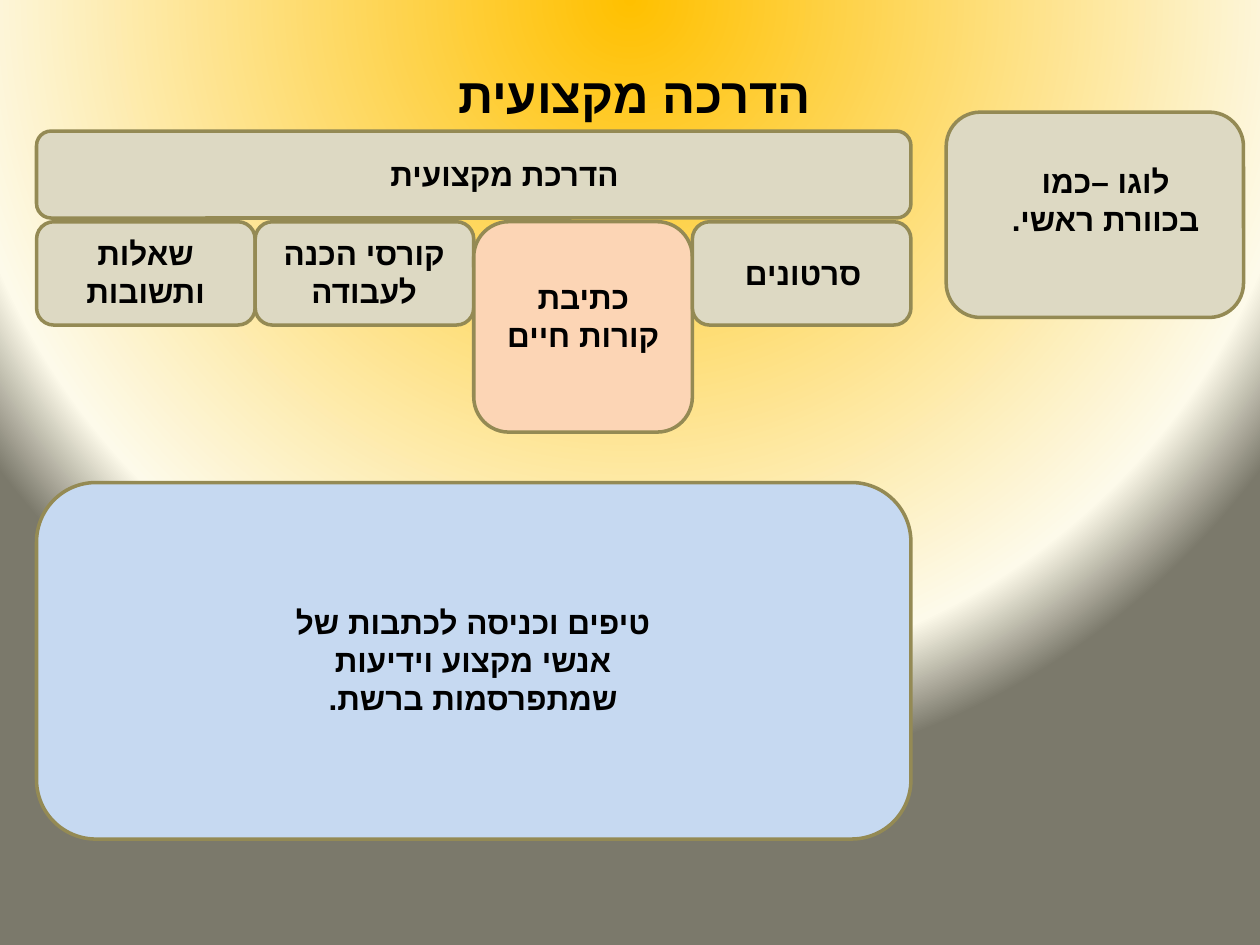
from lxml import etree
from pptx import Presentation
from pptx.dml.color import RGBColor
from pptx.enum.shapes import MSO_SHAPE
from pptx.enum.text import MSO_AUTO_SIZE, PP_ALIGN
from pptx.oxml.ns import qn
from pptx.util import Inches, Pt

ROUNDED = MSO_SHAPE.ROUNDED_RECTANGLE
GROW = MSO_AUTO_SIZE.SHAPE_TO_FIT_TEXT
CENTER = PP_ALIGN.CENTER
HEBREW_FONT = "Arial"

BLACK = RGBColor(0x00, 0x00, 0x00)
SAND = RGBColor(0xDD, 0xD9, 0xC3)
PEACH = RGBColor(0xFC, 0xD5, 0xB5)
SKY = RGBColor(0xC6, 0xD9, 0xF1)
OLIVE = RGBColor(0x94, 0x8A, 0x54)
GLOW = [
    (0, RGBColor(0xFF, 0xC0, 0x00)),
    (87, RGBColor(0xFD, 0xFA, 0xEA)),
    (100, RGBColor(0x7B, 0x79, 0x6B)),
]

MENU_LEFT, MENU_WIDTH = 0.29, 6.94
MENU_TOP, MENU_HEIGHT, OPEN_HEIGHT = 1.76, 0.82, 1.67
MENU = [
    ("שאלות ותשובות", SAND, MENU_HEIGHT, (0.11, 0.05, 1.51, 0.71)),
    ("קורסי הכנה לעבודה", SAND, MENU_HEIGHT, (0.11, 0.05, 1.51, 0.71)),
    ("כתיבת קורות חיים", PEACH, OPEN_HEIGHT, (0.09, 0.4, 1.56, 0.71)),
    ("סרטונים", SAND, MENU_HEIGHT, (0.1, 0.21, 1.56, 0.4)),
]


def paint_background(page):
    fill = page.background.fill
    fill.gradient()
    gradient = next(page.background._cSld.iter(qn("a:gradFill")))
    for child in list(gradient):
        gradient.remove(child)
    stops = etree.SubElement(gradient, qn("a:gsLst"))
    for percent, color in GLOW:
        stop = etree.SubElement(stops, qn("a:gs"), pos=str(percent * 1000))
        etree.SubElement(stop, qn("a:srgbClr"), val=str(color))
    circle = etree.SubElement(gradient, qn("a:path"))
    circle.set("path", "circle")
    etree.SubElement(circle, qn("a:fillToRect"),
                     l="50000", t="-80000", r="50000", b="180000")


def add_label(page, box, text, size=18, font="Calibri"):
    label = page.shapes.add_textbox(*map(Inches, box))
    frame = label.text_frame
    frame.word_wrap = True
    frame.auto_size = GROW
    para = frame.paragraphs[0]
    para.alignment = CENTER
    para._p.get_or_add_pPr().set("rtl", "1")
    span = para.add_run()
    span.text = text
    span.font.size = Pt(size)
    span.font.bold = True
    span.font.name = font
    span.font.color.rgb = BLACK
    properties = span._r.get_or_add_rPr()
    properties.set("lang", "he-IL")
    etree.SubElement(properties, qn("a:cs"), typeface=HEBREW_FONT)


def add_card(page, box, color, text, inset):
    card = page.shapes.add_shape(ROUNDED, *map(Inches, box))
    card.shadow.inherit = False
    card.fill.solid()
    card.fill.fore_color.rgb = color
    card.line.color.rgb = OLIVE
    card.line.width = Pt(2)
    left, top = box[:2]
    right_shift, down_shift, width, height = inset
    add_label(page, (left + right_shift, top + down_shift, width, height), text)


def add_menu(page, left, top, width):
    column = width / len(MENU)
    for index, (text, color, height, inset) in enumerate(MENU):
        add_card(page, (left + index * column, top, column, height),
                 color, text, inset)


deck = Presentation()
deck.slide_width = Inches(10)
deck.slide_height = Inches(7.5)
page = deck.slides.add_slide(deck.slide_layouts[6])

paint_background(page)
add_label(page, (2.24, 0.46, 5.59, 0.57), "הדרכה מקצועית", 28, "Lato")
add_card(page, (7.51, 0.89, 2.36, 1.63), SAND,
         "לוגו –כמו בכוורת ראשי.", (0.32, 0.35, 1.89, 0.71))
add_card(page, (MENU_LEFT, 1.04, MENU_WIDTH, 0.69), SAND,
         "הדרכת מקצועית", (1.18, 0.14, 5.07, 0.4))
add_menu(page, MENU_LEFT, MENU_TOP, MENU_WIDTH)
add_card(page, (MENU_LEFT, 3.83, MENU_WIDTH, 2.83), SKY,
         "טיפים וכניסה לכתבות של אנשי מקצוע וידיעות שמתפרסמות ברשת.",
         (1.85, 0.91, 3.23, 1.01))

deck.save("out.pptx")
